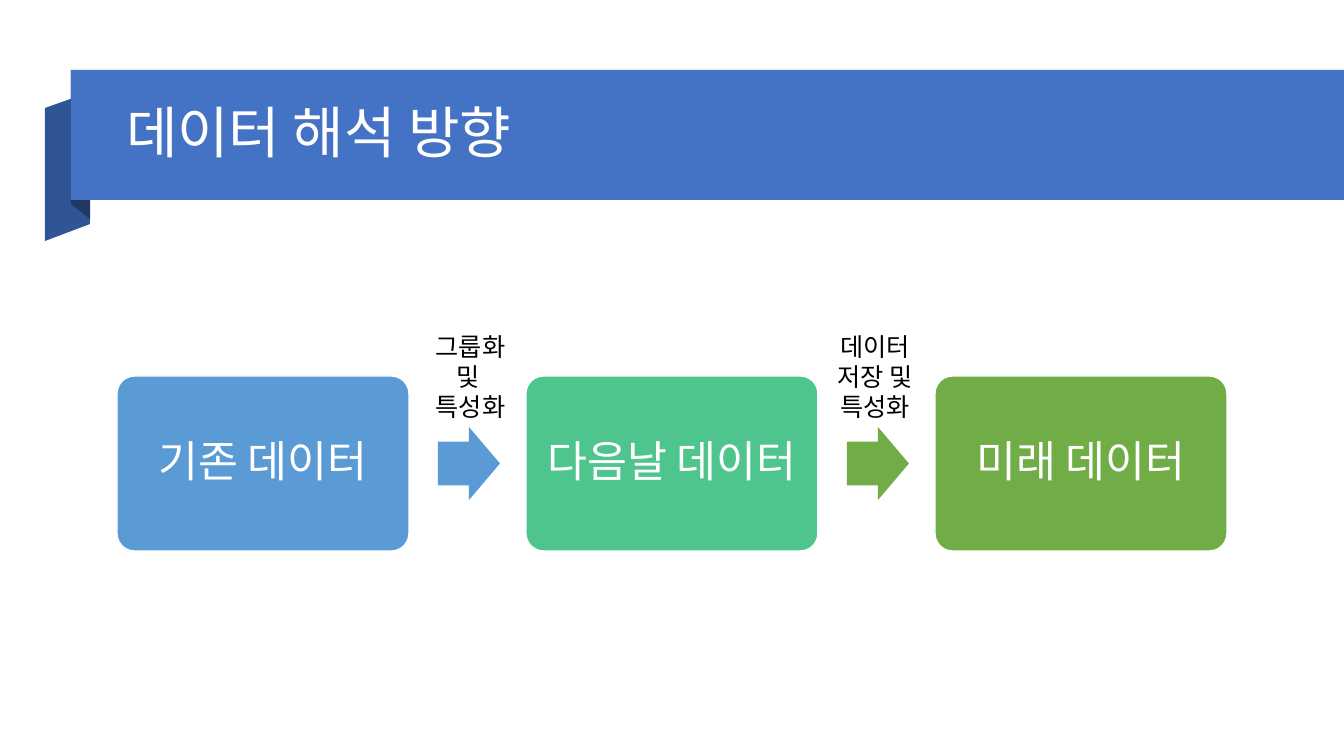
from dataclasses import dataclass

from lxml import etree
from pptx import Presentation
from pptx.dml.color import RGBColor
from pptx.enum.shapes import MSO_SHAPE
from pptx.enum.text import MSO_ANCHOR, MSO_AUTO_SIZE, PP_ALIGN
from pptx.oxml.ns import qn
from pptx.util import Pt

RECT, CARD, ARROW = MSO_SHAPE.RECTANGLE, MSO_SHAPE.ROUNDED_RECTANGLE, MSO_SHAPE.RIGHT_ARROW
LEFT, CENTER = PP_ALIGN.LEFT, PP_ALIGN.CENTER
MIDDLE = MSO_ANCHOR.MIDDLE
NO_AUTOFIT, FIT_SHAPE = MSO_AUTO_SIZE.NONE, MSO_AUTO_SIZE.SHAPE_TO_FIT_TEXT
PX = 914400 / 100.8  # EMU per pixel


@dataclass(frozen=True)
class Theme:
    font: str = "Noto Sans CJK KR"
    white: str = "FFFFFF"
    black: str = "000000"
    band: str = "4472C4"
    fold: str = "2F5597"
    fold_shade: str = "203864"
    blue: str = "5B9BD5"
    teal: str = "4DC58D"
    green: str = "70AD47"
    title_pt: int = 40
    card_pt: int = 31
    label_pt: int = 18


THEME = Theme()


def px(*lengths):
    return [round(length * PX) for length in lengths]


def paint(shape, fill, line=None):
    shape.shadow.inherit = False
    shape.fill.solid()
    shape.fill.fore_color.rgb = RGBColor.from_string(fill)
    if line:
        shape.line.color.rgb = RGBColor.from_string(line)
        shape.line.width = Pt(1)
    else:
        shape.line.fill.background()


prs = Presentation()
prs.slide_width, prs.slide_height = px(1344, 756)
slide = prs.slides.add_slide(prs.slide_layouts[5])
shapes = slide.shapes
texts = []  # (text frame, lines, size, colour, alignment, line spacing)

# Ribbon: two folded ends behind the title band
FOLDS = [
    ([(90, 224), (45, 241), (45, 108), (90, 92)], THEME.fold),
    ([(90, 219), (71, 204), (71, 70), (90, 85)], THEME.fold_shade),
]
for corners, color in FOLDS:
    outline = shapes.build_freeform(*corners[0], scale=PX)
    outline.add_line_segments(corners[1:], close=True)
    paint(outline.convert_to_shape(), color)
paint(shapes.add_shape(RECT, *px(71, 70, 1273, 130)), THEME.band)

# Title, brought in front of the band
title = shapes.title
title.left, title.top, title.width, title.height = px(116, 87, 1136, 97)
shapes._spTree.append(title._element)
title.text_frame.word_wrap = True
title.text_frame.auto_size = NO_AUTOFIT
title.text_frame.vertical_anchor = MIDDLE
texts.append((title.text_frame, ["데이터 해석 방향"], THEME.title_pt, THEME.white, LEFT, 0.9))

# Data stages and the arrows between them
STAGES = [
    ("기존 데이터", THEME.blue),
    ("다음날 데이터", THEME.teal),
    ("미래 데이터", THEME.green),
]
ARROW_COLORS = [THEME.blue, THEME.green]
STAGE_LEFT, STAGE_PITCH, ARROW_OFFSET = 117, 409, 321
for index, (stage_name, color) in enumerate(STAGES):
    stage_x = STAGE_LEFT + index * STAGE_PITCH
    stage = shapes.add_shape(CARD, *px(stage_x, 376, 292, 175))
    stage.adjustments[0] = 0.1
    paint(stage, color, THEME.white)
    frame = stage.text_frame
    frame.word_wrap = True
    frame.vertical_anchor = MIDDLE
    frame.margin_left, frame.margin_top, frame.margin_right, frame.margin_bottom = px(13, 13, 13, 13)
    texts.append((frame, [stage_name], THEME.card_pt, THEME.white, CENTER, 0.9))
    if index < len(ARROW_COLORS):
        arrow = shapes.add_shape(ARROW, *px(stage_x + ARROW_OFFSET, 427, 62, 73))
        arrow.adjustments[0], arrow.adjustments[1] = 0.6, 0.5
        paint(arrow, ARROW_COLORS[index])

# Step labels above the arrows
STEP_LABELS = [
    (422, 97, ["그룹화", "및 ", "특성화"]),
    (822, 106, ["데이터", "저장 및", "특성화"]),
]
for label_x, label_width, lines in STEP_LABELS:
    frame = shapes.add_textbox(*px(label_x, 326, label_width, 102)).text_frame
    frame.word_wrap = False
    frame.auto_size = FIT_SHAPE
    texts.append((frame, lines, THEME.label_pt, THEME.black, CENTER, 1.0))

# Text, with the font set for both Latin and Korean
for frame, lines, size, color, alignment, spacing in texts:
    for number, line in enumerate(lines):
        paragraph = frame.add_paragraph() if number else frame.paragraphs[0]
        paragraph.alignment = alignment
        paragraph.line_spacing = spacing
        run = paragraph.add_run()
        run.text = line
        run.font.size = Pt(size)
        run.font.color.rgb = RGBColor.from_string(color)
        run.font.name = THEME.font
        etree.SubElement(run._r.get_or_add_rPr(), qn("a:ea"), typeface=THEME.font)

prs.save("out.pptx")
